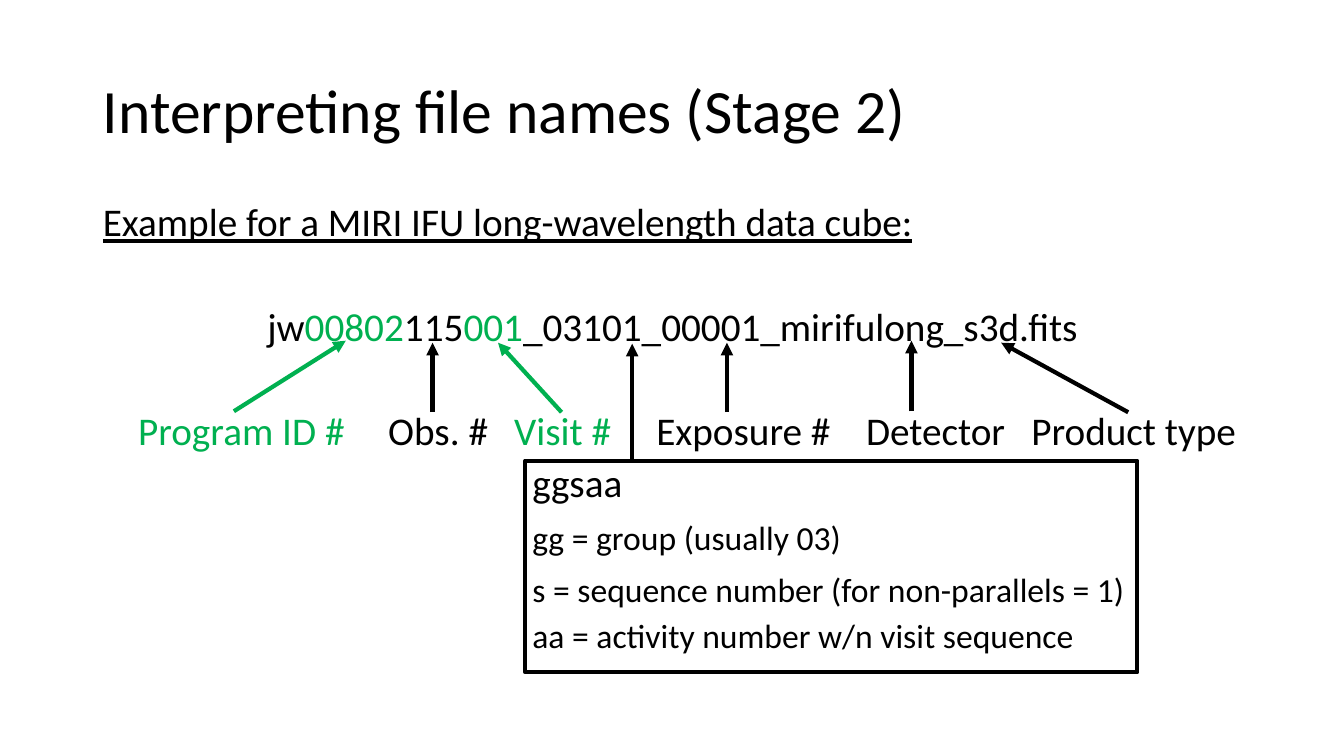
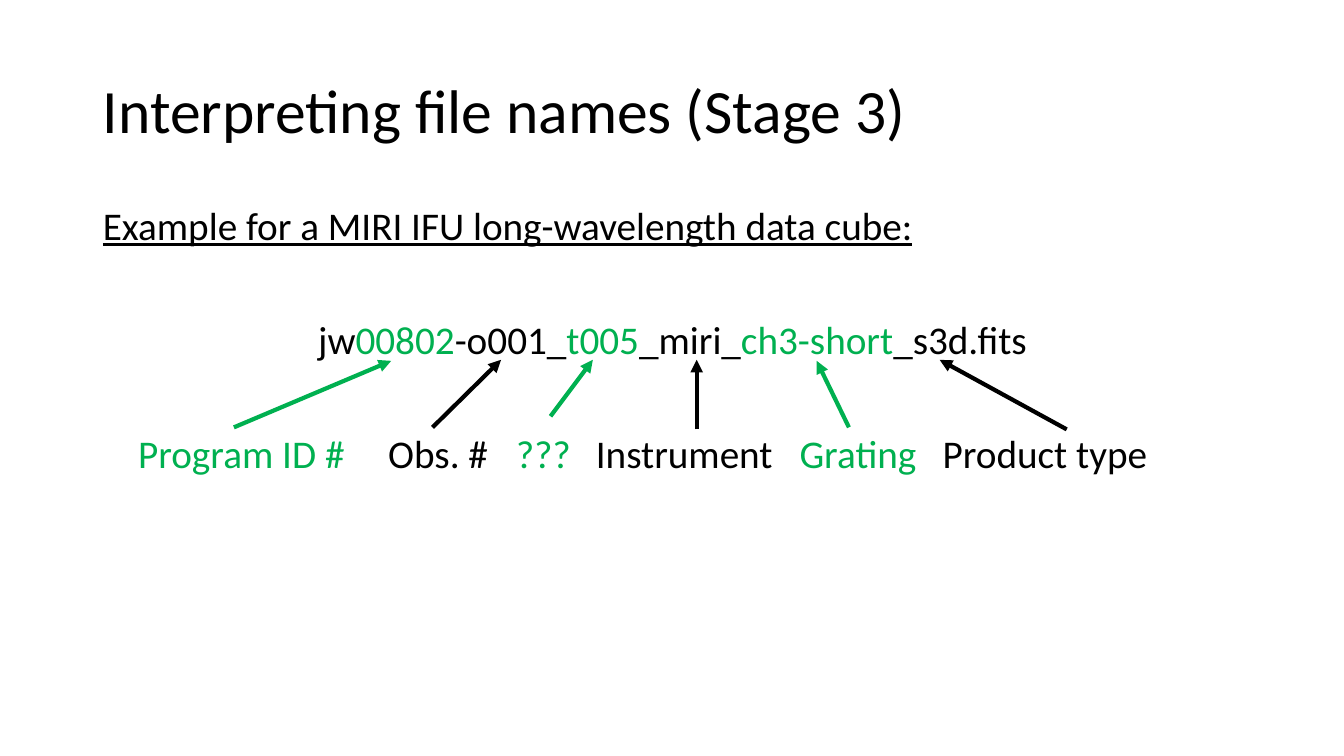
from dataclasses import dataclass

from lxml.etree import SubElement
from pptx import Presentation
from pptx.dml.color import RGBColor
from pptx.enum.shapes import MSO_CONNECTOR, MSO_SHAPE
from pptx.enum.text import MSO_ANCHOR, PP_ALIGN
from pptx.oxml.ns import qn
from pptx.util import Inches, Pt


@dataclass(frozen=True)
class Theme:
    font: str = "Calibri"
    ink: RGBColor = RGBColor(0x00, 0x00, 0x00)
    accent: RGBColor = RGBColor(0x00, 0xB0, 0x50)
    title_size: int = 44
    body_size: int = 28
    detail_size: int = 24
    line_width: int = 3
    paragraph_gap: int = 10
    line_height: float = 1.22  # natural line height of the font, in ems


THEME = Theme()
LEFT, WIDTH = 1.02, 11.3
BODY_TOP = 2.05
HEADING_ROW, NAME_ROW, LABEL_ROW = 0, 2, 4
HEADING = "Example for a MIRI IFU long-wavelength data cube:"

# Name parts: (text, accented)
# Labels: (text, left, accented, arrow start, arrow end)
SLIDES = [
    {
        "title": "Interpreting file names (Stage 2)",
        "spacing": 0.8,
        "name": [("jw", False), ("00802", True), ("115", False), ("001", True),
                 ("_03101_00001_mirifulong_s3d.fits", False)],
        "labels": [
            ("Program ID #", 1.37, True, (2.32, 4.08), (3.43, 3.38)),
            ("Obs. #", 3.85, False, (4.29, 4.09), (4.29, 3.4)),
            ("Visit #", 5.1, True, (5.57, 4.09), (4.94, 3.4)),
            ("Exposure #", 6.51, False, (7.21, 4.09), (7.21, 3.4)),
            ("Detector", 8.59, False, (9.04, 4.08), (9.04, 3.38)),
            ("Product type", 10.23, False, (11.19, 4.09), (9.93, 3.4)),
        ],
        "legend": {
            "at": (5.21, 4.57, 6.07, 2.1),
            "arrow": ((6.27, 4.57), (6.27, 3.41)),
            # (text, size, space before)
            "lines": [
                ("ggsaa", THEME.body_size, 0),
                ("gg = group (usually 03)", THEME.detail_size, 14),
                ("s = sequence number (for non-parallels = 1)", THEME.detail_size, 14),
                ("aa = activity number w/n visit sequence", THEME.detail_size, 10),
            ],
        },
    },
    {
        "title": "Interpreting file names (Stage 3)",
        "spacing": 0.9,
        "name": [("jw", False), ("00802", True), ("-o001_", False), ("t005", True),
                 ("_miri_", False), ("ch3-short", True), ("_s3d.fits", False)],
        "labels": [
            ("Program ID #", 1.37, True, (2.32, 4.24), (3.88, 3.58)),
            ("Obs. #", 3.85, False, (4.29, 4.24), (4.97, 3.57)),
            ("???", 5.12, True, (5.46, 4.13), (5.88, 3.57)),
            ("Instrument", 5.91, False, (6.91, 4.26), (6.91, 3.57)),
            ("Grating", 7.93, True, (8.42, 4.24), (8.1, 3.58)),
            ("Product type", 9.35, False, (10.58, 4.26), (9.32, 3.57)),
        ],
    },
]


def tint(accented):
    return THEME.accent if accented else THEME.ink


def style(para, size, spacing, color=THEME.ink):
    para.font.name = THEME.font
    para.font.size = Pt(size)
    para.font.color.rgb = color
    para.line_spacing = spacing


def prepare_frame(shape, inset=0.0):
    frame = shape.text_frame
    frame.word_wrap = True
    frame.margin_left = frame.margin_right = Inches(inset)
    frame.margin_top = frame.margin_bottom = Inches(inset)
    return frame


def add_text(page, left, top, width, height, spans, size, spacing):
    """Add one paragraph of (text, accented) spans and return its frame."""
    box = page.shapes.add_textbox(*map(Inches, (left, top, width, height)))
    frame = prepare_frame(box)
    para = frame.paragraphs[0]
    style(para, size, spacing, tint(spans[0][1]))
    for text, accented in spans:
        span = para.add_run()
        span.text = text
        if accented != spans[0][1]:
            span.font.color.rgb = tint(accented)
    return frame


def add_arrow(page, start, end, color):
    arrow = page.shapes.add_connector(MSO_CONNECTOR.STRAIGHT, *map(Inches, start + end))
    arrow.line.color.rgb = color
    arrow.line.width = Pt(THEME.line_width)
    SubElement(arrow.line._get_or_add_ln(), qn("a:tailEnd"), type="triangle")
    SubElement(arrow._element.spPr, qn("a:effectLst"))


def add_legend(page, legend, spacing):
    box = page.shapes.add_shape(MSO_SHAPE.RECTANGLE, *map(Inches, legend["at"]))
    box.shadow.inherit = False
    box.fill.background()
    box.line.color.rgb = THEME.ink
    box.line.width = Pt(THEME.line_width)
    frame = prepare_frame(box, inset=0.07)
    frame.vertical_anchor = MSO_ANCHOR.TOP
    for index, (text, size, gap) in enumerate(legend["lines"]):
        para = frame.add_paragraph() if index else frame.paragraphs[0]
        para.text = text
        para.alignment = PP_ALIGN.LEFT
        para.space_before = Pt(gap)
        style(para, size, spacing)
    add_arrow(page, *legend["arrow"], THEME.ink)


def add_page(deck, content):
    page = deck.slides.add_slide(deck.slide_layouts[6])
    spacing = content["spacing"]
    line = THEME.body_size * THEME.line_height * spacing / 72
    pitch = line + THEME.paragraph_gap / 72

    def add_row(row, left, width, spans):
        return add_text(page, left, BODY_TOP + row * pitch, width, line,
                        spans, THEME.body_size, spacing)

    title = add_text(page, LEFT, 0.4, WIDTH, 1.45, [(content["title"], False)],
                     THEME.title_size, 0.9)
    title.vertical_anchor = MSO_ANCHOR.MIDDLE
    heading = add_row(HEADING_ROW, LEFT, WIDTH, [(HEADING, False)])
    heading.paragraphs[0].font.underline = True
    name = add_row(NAME_ROW, LEFT, WIDTH, content["name"])
    name.paragraphs[0].alignment = PP_ALIGN.CENTER

    labels = content["labels"]
    right_edges = [label[1] for label in labels[1:]] + [LEFT + WIDTH]
    for (text, left, accented, start, end), right in zip(labels, right_edges):
        add_row(LABEL_ROW, left, right - left, [(text, accented)])
        add_arrow(page, start, end, tint(accented))
    if "legend" in content:
        add_legend(page, content["legend"], spacing)


def main():
    deck = Presentation()
    deck.slide_width, deck.slide_height = Inches(13.33), Inches(7.5)
    for content in SLIDES:
        add_page(deck, content)
    deck.save("out.pptx")


if __name__ == "__main__":
    main()
